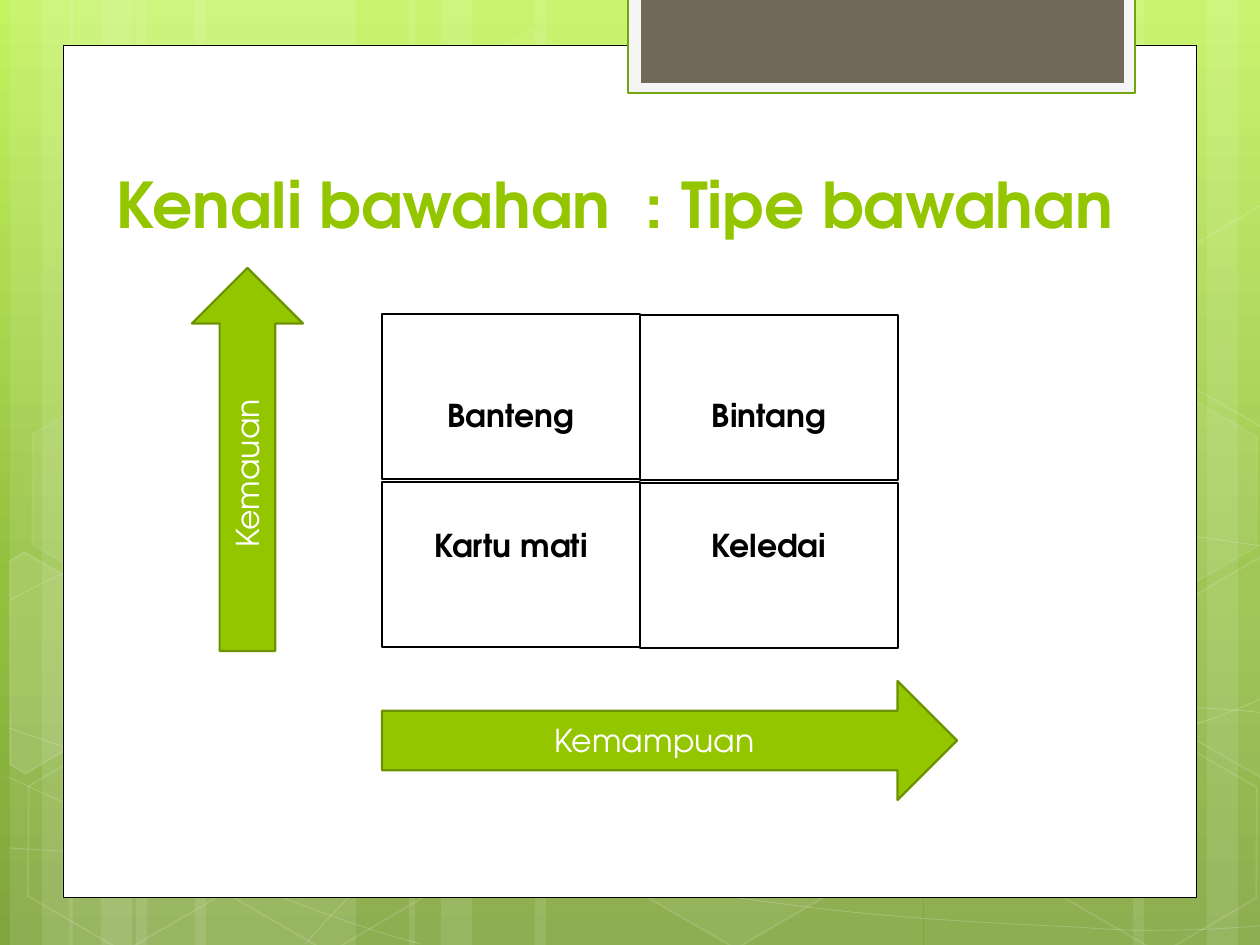
from copy import deepcopy

from pptx import Presentation
from pptx.dml.color import RGBColor
from pptx.enum.shapes import MSO_SHAPE
from pptx.enum.text import MSO_ANCHOR, PP_ALIGN
from pptx.oxml.ns import qn
from pptx.util import Emu, Pt
from lxml import etree

RECT, HEX, ARROW = MSO_SHAPE.RECTANGLE, MSO_SHAPE.HEXAGON, MSO_SHAPE.RIGHT_ARROW
TOP, MIDDLE, BOTTOM = MSO_ANCHOR.TOP, MSO_ANCHOR.MIDDLE, MSO_ANCHOR.BOTTOM
LEFT, CENTER = PP_ALIGN.LEFT, PP_ALIGN.CENTER

SCALE = 914400 / 126
WIDE, HIGH = 1260, 945
FONT = "TeX Gyre Adventor"
COLORS = {
    "white": "FFFFFF", "black": "000000", "green": "94C600", "edge": "6D9200",
    "rim": "74A510", "pale": "F5F5F5", "stone": "71685A",
    "sky": "C3F35F", "leaf": "93BF3F", "moss": "81A53E",
}
INSET = 6
ROW = 38  # height of one text line
TILT = 30

# Start point, then two controls and an end point for each segment
CURVES = [
    [(9, 848), (68, 852), (145, 856), (239, 854), (334, 853), (451, 851), (577, 838),
     (703, 825), (882, 801), (998, 777), (1113, 753), (1231, 717), (1269, 694)],
    [(9, 601), (45, 581), (82, 562), (152, 543), (224, 524), (326, 496), (437, 488),
     (549, 479), (685, 478), (824, 488), (963, 498), (1193, 537), (1269, 547)],
    [(8, 777), (160, 847), (311, 916), (421, 944)],
    [(9, 728), (48, 742), (88, 756), (161, 776), (234, 795), (344, 827), (450, 848),
     (554, 869), (687, 892), (791, 905), (896, 919), (1008, 924), (1075, 927),
     (1140, 932), (1158, 930), (1191, 930), (1223, 929), (1246, 927), (1269, 925)],
    [(305, 944), (328, 919), (350, 893), (381, 871), (411, 848), (454, 823), (489, 805),
     (524, 788), (546, 780), (592, 767), (638, 754), (722, 737), (766, 728),
     (811, 719), (818, 719), (857, 717), (896, 714), (958, 709), (1000, 708),
     (1045, 707), (1116, 708), (1116, 708), (1144, 708), (1173, 708), (1201, 708),
     (1223, 709), (1244, 711), (1256, 712), (1264, 713), (1260, 712), (1268, 713)],
]
# Left, top, fill opacity, line opacity
HEXES = [
    (421, 45, 4, 8), (626, 742, 6, 12), (14, 745, 0, 12), (18, 393, 7, 8),
    (219, 746, 0, 12), (949, 571, 10, 12), (1051, 747, 0, 12), (1051, 396, 7, 8),
]
# Cut hexagons, before they are tilted
WEST = [(-42, 594), (-34, 579), (77, 578), (132, 675), (78, 770), (60, 770)]
EAST = [(1155, 655), (1209, 559), (1221, 560), (1326, 742), (1321, 751), (1210, 751)]


def px(num):
    return Emu(round(num * SCALE))


def rgb(name):
    return RGBColor.from_string(COLORS[name])


def fade(shape, route, alpha):
    """Give the colour at the route inside the shape an opacity in percent."""
    tint = shape.element.spPr.find("/".join(qn(tag) for tag in route))
    etree.SubElement(tint, qn("a:alpha")).set("val", str(alpha * 1000))


def paint(shape, fill=None, line=None, width=1, alpha=100, stroke=100):
    shape.shadow.inherit = False
    if fill:
        shape.fill.solid()
        shape.fill.fore_color.rgb = rgb(fill)
        if alpha < 100:
            fade(shape, ("a:solidFill", "a:srgbClr"), alpha)
    else:
        shape.fill.background()
    if line:
        shape.line.color.rgb = rgb(line)
        shape.line.width = Pt(width)
        if stroke < 100:
            fade(shape, ("a:ln", "a:solidFill", "a:srgbClr"), stroke)
    else:
        shape.line.fill.background()


def add_box(slide, kind, x, y, w, h, turn=0, **look):
    shape = slide.shapes.add_shape(kind, px(x), px(y), px(w), px(h))
    shape.rotation = turn
    paint(shape, **look)
    return shape


def add_path(slide, points, close=False, turn=0, **look):
    pen = slide.shapes.build_freeform(*points[0], scale=SCALE)
    pen.add_line_segments(points[1:], close=close)
    shape = pen.convert_to_shape()
    shape.rotation = turn
    paint(shape, **look)
    return shape


def bend(shape):
    """Join each three straight segments into one cubic curve."""
    lines = list(shape.element.iter(qn("a:lnTo")))
    for i in range(0, len(lines), 3):
        curve = etree.Element(qn("a:cubicBezTo"))
        lines[i].addprevious(curve)
        for line in lines[i:i + 3]:
            curve.append(line[0])
            line.getparent().remove(line)


def set_text(shape, text, size=18, color="black", bold=False, align=CENTER,
             anchor=MIDDLE, top=INSET):
    frame = shape.text_frame
    frame.word_wrap = True
    frame.vertical_anchor = anchor
    frame.margin_top = px(top)
    frame.text = text
    para = frame.paragraphs[0]
    para.alignment = align
    font = para.runs[0].font
    font.name, font.size, font.bold = FONT, Pt(size), bold
    font.color.rgb = rgb(color)


def set_back(slide):
    fill = slide.background.fill
    fill.gradient()
    fill.gradient_angle = 270
    stops = slide.element.find(".//" + qn("a:gsLst"))
    stops.append(deepcopy(stops[-1]))
    looks = (("sky", 0), ("leaf", 0.62), ("moss", 1))
    for stop, (name, place) in zip(fill.gradient_stops, looks):
        stop.color.rgb = rgb(name)
        stop.position = place


def add_bands(slide):
    bands = [(x + dx, w) for x, wide in ((136, 220), (195, 220), (535, 388))
             for dx, w in ((0, wide), (-126, 63), (-94, 105))]
    bands += [(WIDE + 20 - x - w, w) for x, w in bands[:3]]
    for x, w in bands:
        add_box(slide, RECT, x, 0, w, HIGH, fill="white", alpha=10)


def add_decor(slide):
    add_bands(slide)
    for curve in CURVES:
        bend(add_path(slide, curve, line="white", width=0.5, stroke=20))
    for x, y, alpha, stroke in HEXES:
        cell = add_box(slide, HEX, x, y, 220, 192, turn=TILT, line="white",
                       fill="white" if alpha else None, alpha=alpha, stroke=stroke)
        cell.adjustments[0] = 0.285
    edge = {"close": True, "turn": TILT, "line": "white", "stroke": 12}
    add_path(slide, WEST, fill="white", alpha=10, **edge)
    add_path(slide, EAST, fill="white", alpha=4, **edge)
    add_path(slide, [(x, y - 351) for x, y in EAST], **edge)


def add_frame(slide):
    add_box(slide, RECT, 63, 45, 1134, 853, fill="white", line="black", width=0.5)
    add_box(slide, RECT, 628, -3, 507, 96, fill="pale", line="rim", width=1.25)
    add_box(slide, RECT, 641, -3, 483, 86, fill="stone")


def add_grid(slide):
    rows = ((("Banteng", "Bintang"), 2), (("Kartu mati", "Keledai"), 1))
    for i, (names, skip) in enumerate(rows):
        for j, name in enumerate(names):
            cell = add_box(slide, RECT, 382 + 258 * j, 314 + 168 * i + j, 258, 165,
                           line="black", width=0.75)
            set_text(cell, name, bold=True, anchor=TOP, top=INSET + skip * ROW - j)


def add_arrow(slide, text, *place, turn=0):
    arrow = add_box(slide, ARROW, *place, turn=turn, fill="green", line="edge", width=1.25)
    set_text(arrow, text, color="white")


def add_title(slide, text):
    title = slide.shapes.title
    title.left, title.top, title.width, title.height = map(px, (104, 135, 1116, 112))
    set_text(title, text, size=36, color="green", bold=True, align=LEFT, anchor=BOTTOM)
    # Lift the holder above the frame
    title.element.getparent().append(title.element)


def main():
    deck = Presentation()
    deck.slide_width, deck.slide_height = px(WIDE), px(HIGH)
    slide = deck.slides.add_slide(deck.slide_layouts[5])
    set_back(slide)
    add_decor(slide)
    add_frame(slide)
    add_grid(slide)
    add_title(slide, "Kenali bawahan  : Tipe bawahan")
    add_arrow(slide, "Kemampuan", 382, 681, 575, 119)
    add_arrow(slide, "Kemauan", 56, 404, 383, 111, turn=270)
    deck.save("out.pptx")


if __name__ == "__main__":
    main()
